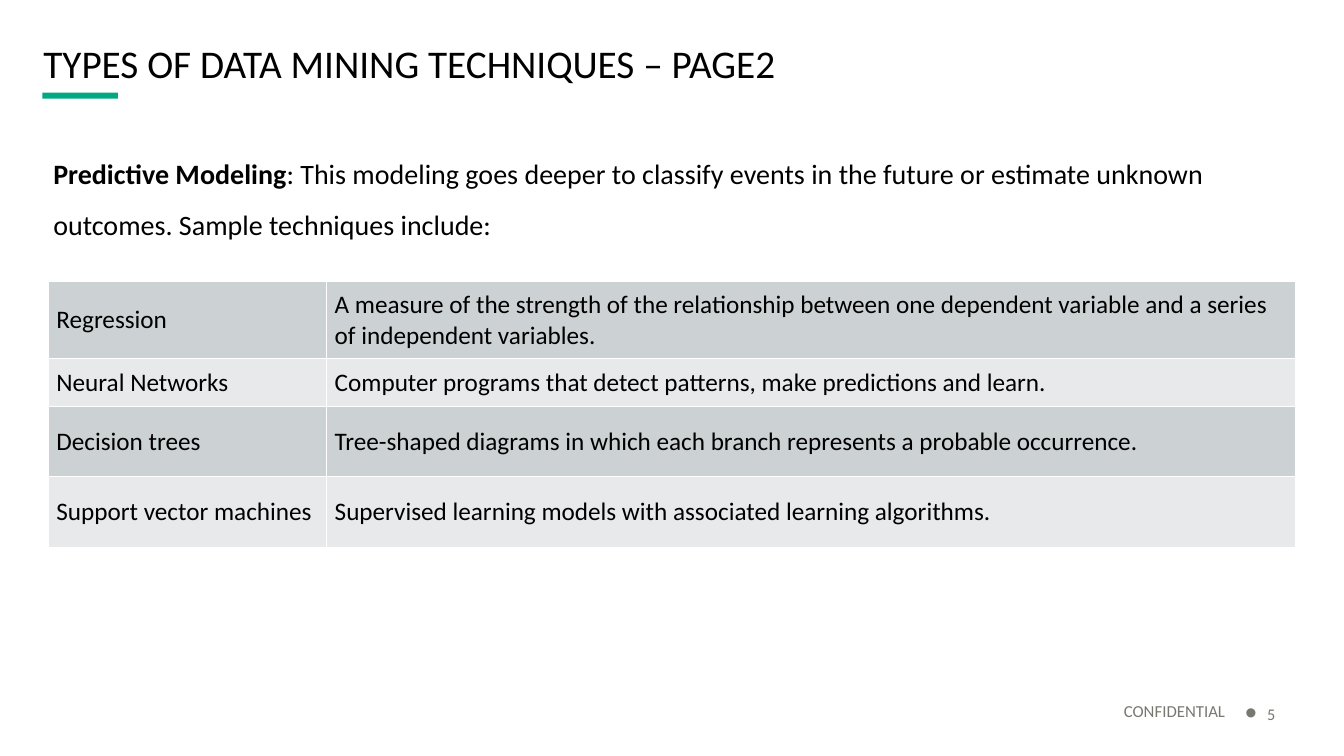
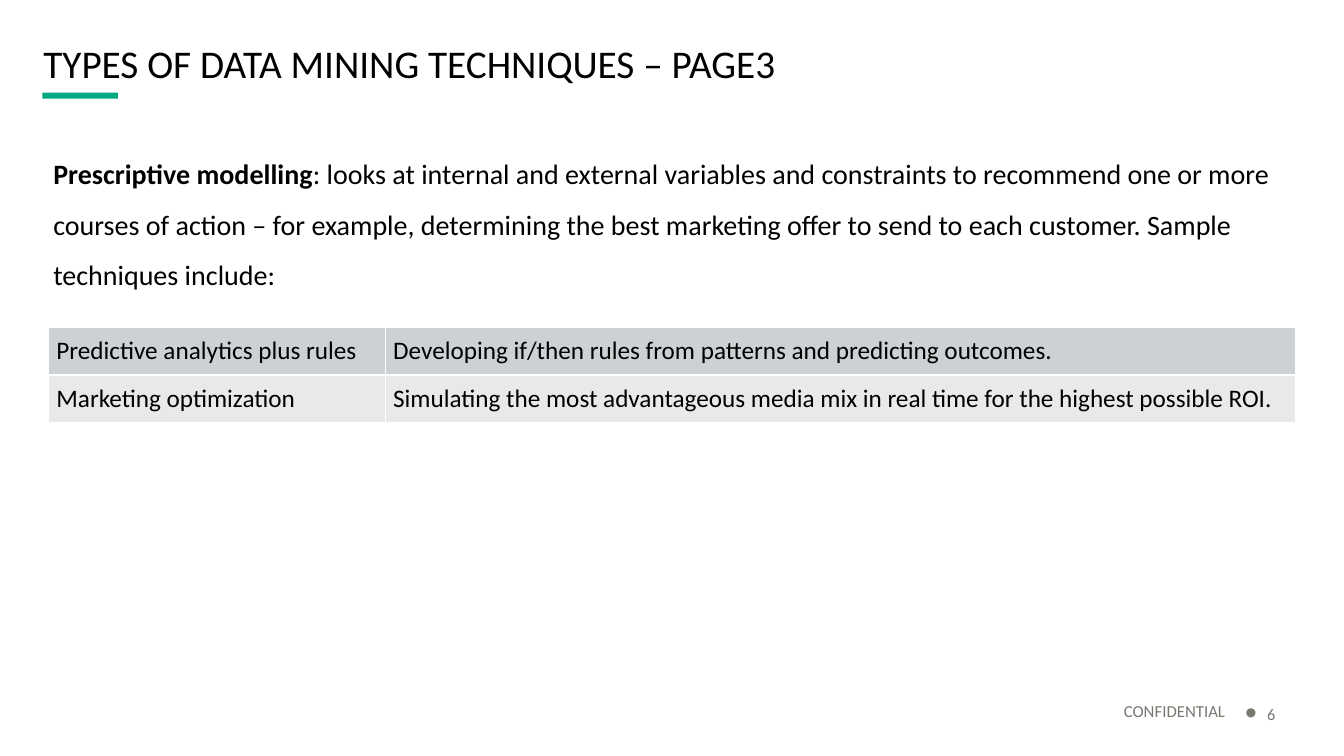
from dataclasses import dataclass

from lxml.etree import SubElement
from pptx import Presentation
from pptx.dml.color import RGBColor
from pptx.enum.shapes import MSO_SHAPE
from pptx.enum.text import MSO_ANCHOR, MSO_AUTO_SIZE, PP_ALIGN
from pptx.oxml import parse_xml
from pptx.oxml.ns import nsdecls, qn
from pptx.slide import Slide
from pptx.table import _Cell
from pptx.text.text import TextFrame, _Paragraph, _Run
from pptx.util import Inches, Pt


@dataclass(frozen=True)
class Theme:
    font: str = "Calibri"
    ink: str = "000000"
    muted: str = "787871"
    accent: str = "01A982"
    rule: str = "FFFFFF"
    bands: tuple[str, str] = ("CCD1D3", "E7E9EA")
    title_size: int = 28
    body_size: int = 20
    table_size: int = 18
    footer_size: int = 12
    number_size: int = 20
    rule_width: int = 1


@dataclass(frozen=True)
class Technique:
    name: str
    meaning: str
    height: float


@dataclass(frozen=True)
class Page:
    number: int
    title: str
    term: str
    definition: str
    definition_height: float
    table_top: float
    name_width: float
    techniques: tuple[Technique, ...]


THEME = Theme()
TABLE_LEFT = 0.48
TABLE_WIDTH = 12.37
CELL_MARGIN = 0.08

PAGES = (
    Page(
        5,
        "TYPES OF DATA MINING TECHNIQUES – PAGE2",
        "Predictive Modeling",
        ": This modeling goes deeper to classify events in the future or estimate "
        "unknown outcomes. Sample techniques include:",
        1.06,
        2.79,
        2.76,
        (
            Technique(
                "Regression",
                "A measure of the strength of the relationship between one dependent "
                "variable and a series of independent variables.",
                0.77,
            ),
            Technique(
                "Neural Networks",
                "Computer programs that detect patterns, make predictions and learn.",
                0.47,
            ),
            Technique(
                "Decision trees",
                "Tree-shaped diagrams in which each branch represents a probable occurrence.",
                0.7,
            ),
            Technique(
                "Support vector machines",
                "Supervised learning models with associated learning algorithms.",
                0.7,
            ),
        ),
    ),
    Page(
        6,
        "TYPES OF DATA MINING TECHNIQUES – PAGE3",
        "Prescriptive modelling",
        ": looks at internal and external variables and constraints to recommend one "
        "or more courses of action – for example, determining the best marketing offer "
        "to send to each customer. Sample techniques include:",
        1.56,
        3.25,
        3.34,
        (
            Technique(
                "Predictive analytics plus rules",
                "Developing if/then rules from patterns and predicting outcomes.",
                0.47,
            ),
            Technique(
                "Marketing optimization",
                "Simulating the most advantageous media mix in real time for the highest "
                "possible ROI.",
                0.47,
            ),
        ),
    ),
)


def add_run(
    paragraph: _Paragraph, text: str, size: int, color: str = THEME.ink, bold: bool = False
) -> _Run:
    run = paragraph.add_run()
    run.text = text
    run.font.name = THEME.font
    run.font.size = Pt(size)
    run.font.bold = bold
    run.font.color.rgb = RGBColor.from_string(color)
    return run


def add_text_box(
    slide: Slide, left: float, top: float, width: float, height: float, spacing: float
) -> TextFrame:
    box = slide.shapes.add_textbox(Inches(left), Inches(top), Inches(width), Inches(height))
    frame = box.text_frame
    frame.word_wrap = True
    frame.paragraphs[0].line_spacing = spacing
    return frame


def add_heading(slide: Slide, text: str) -> None:
    accent = slide.shapes.add_shape(
        MSO_SHAPE.RECTANGLE, Inches(0.42), Inches(0.92), Inches(0.75), Inches(0.06)
    )
    accent.shadow.inherit = False
    accent.fill.solid()
    accent.fill.fore_color.rgb = RGBColor.from_string(THEME.accent)
    accent.line.fill.background()

    title = slide.shapes.title
    title.left, title.top = Inches(0.43), Inches(0.42)
    title.width, title.height = Inches(12.49), Inches(0.47)
    frame = title.text_frame
    frame.margin_left = frame.margin_right = frame.margin_top = frame.margin_bottom = 0
    frame.vertical_anchor = MSO_ANCHOR.MIDDLE
    frame.auto_size = MSO_AUTO_SIZE.NONE
    frame.word_wrap = True
    paragraph = frame.paragraphs[0]
    paragraph.alignment = PP_ALIGN.LEFT
    paragraph.line_spacing = 0.9
    add_run(paragraph, text, THEME.title_size)


def add_footer(slide: Slide, number: int) -> None:
    notice = add_text_box(slide, 7.75, 6.93, 4.5, 0.24, 0.9).paragraphs[0]
    notice.alignment = PP_ALIGN.RIGHT
    add_run(notice, "CONFIDENTIAL", THEME.footer_size, THEME.muted)

    number_frame = add_text_box(slide, 12.25, 6.89, 0.75, 0.4, 0.9)
    number_frame.vertical_anchor = MSO_ANCHOR.MIDDLE
    paragraph = number_frame.paragraphs[0]
    properties = paragraph._p.get_or_add_pPr()
    properties.set("marL", str(Inches(0.22)))
    properties.set("indent", str(Inches(-0.22)))
    SubElement(properties, qn("a:buSzPct")).set("val", "120000")
    SubElement(properties, qn("a:buFont")).set("typeface", "Arial")
    SubElement(properties, qn("a:buChar")).set("char", "•")
    digit = add_run(paragraph, str(number), THEME.number_size, THEME.muted)
    digit.font._element.set("baseline", "10000")


def add_definition(slide: Slide, page: Page) -> None:
    frame = add_text_box(slide, 0.43, 1.34, 12.75, page.definition_height, 1.5)
    frame.auto_size = MSO_AUTO_SIZE.SHAPE_TO_FIT_TEXT
    paragraph = frame.paragraphs[0]
    add_run(paragraph, page.term, THEME.body_size, bold=True)
    add_run(paragraph, page.definition, THEME.body_size)


def fill_cell(cell: _Cell, text: str, band: str) -> None:
    cell.fill.solid()
    cell.fill.fore_color.rgb = RGBColor.from_string(band)
    cell.vertical_anchor = MSO_ANCHOR.MIDDLE
    cell.margin_left = cell.margin_right = Inches(CELL_MARGIN)
    cell.margin_top = cell.margin_bottom = Inches(CELL_MARGIN)
    add_run(cell.text_frame.paragraphs[0], text, THEME.table_size)
    properties = cell._tc.get_or_add_tcPr()
    for position, side in enumerate(("lnL", "lnR", "lnT", "lnB")):
        border = parse_xml(
            f'<a:{side} {nsdecls("a")} w="{Pt(THEME.rule_width)}"><a:solidFill>'
            f'<a:srgbClr val="{THEME.rule}"/></a:solidFill></a:{side}>'
        )
        properties.insert(position, border)


def add_techniques(slide: Slide, page: Page) -> None:
    height = sum(technique.height for technique in page.techniques)
    table = slide.shapes.add_table(
        len(page.techniques),
        2,
        Inches(TABLE_LEFT),
        Inches(page.table_top),
        Inches(TABLE_WIDTH),
        Inches(height),
    ).table
    table.first_row = table.horz_banding = False
    table.columns[0].width = Inches(page.name_width)
    table.columns[1].width = Inches(TABLE_WIDTH - page.name_width)
    for index, technique in enumerate(page.techniques):
        table.rows[index].height = Inches(technique.height)
        band = THEME.bands[index % len(THEME.bands)]
        for column, text in enumerate((technique.name, technique.meaning)):
            fill_cell(table.cell(index, column), text, band)


def main() -> None:
    deck = Presentation()
    deck.slide_width, deck.slide_height = Inches(13.33), Inches(7.5)
    title_only = deck.slide_layouts[5]
    for page in PAGES:
        slide = deck.slides.add_slide(title_only)
        add_heading(slide, page.title)
        add_footer(slide, page.number)
        add_definition(slide, page)
        add_techniques(slide, page)
    deck.save("out.pptx")


if __name__ == "__main__":
    main()
